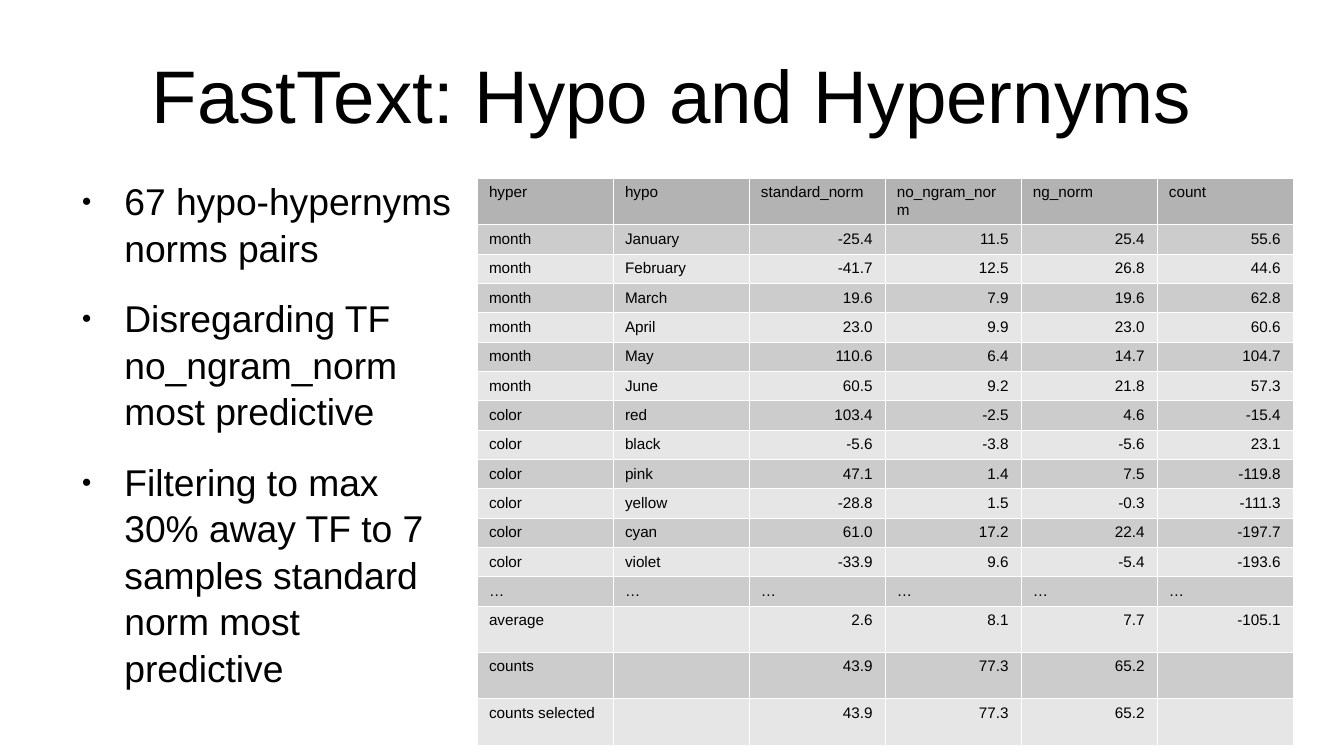
"""Build the slide on hypo- and hypernym norms: a title, a list and a table."""
from lxml.etree import SubElement
from pptx import Presentation
from pptx.dml.color import RGBColor
from pptx.enum.text import MSO_ANCHOR, MSO_AUTO_SIZE, PP_ALIGN
from pptx.oxml.ns import qn
from pptx.util import Inches, Pt

TITLE = "FastText: Hypo and Hypernyms"
POINTS = [
    "67 hypo-hypernyms norms pairs",
    "Disregarding TF no_ngram_norm most predictive",
    "Filtering to max 30% away TF to 7 samples standard norm most predictive",
]
ROWS = [
    ("hyper", "hypo", "standard_norm", "no_ngram_norm", "ng_norm", "count"),
    ("month", "January", "-25.4", "11.5", "25.4", "55.6"),
    ("month", "February", "-41.7", "12.5", "26.8", "44.6"),
    ("month", "March", "19.6", "7.9", "19.6", "62.8"),
    ("month", "April", "23.0", "9.9", "23.0", "60.6"),
    ("month", "May", "110.6", "6.4", "14.7", "104.7"),
    ("month", "June", "60.5", "9.2", "21.8", "57.3"),
    ("color", "red", "103.4", "-2.5", "4.6", "-15.4"),
    ("color", "black", "-5.6", "-3.8", "-5.6", "23.1"),
    ("color", "pink", "47.1", "1.4", "7.5", "-119.8"),
    ("color", "yellow", "-28.8", "1.5", "-0.3", "-111.3"),
    ("color", "cyan", "61.0", "17.2", "22.4", "-197.7"),
    ("color", "violet", "-33.9", "9.6", "-5.4", "-193.6"),
    ("…",) * 6,
    ("average", "", "2.6", "8.1", "7.7", "-105.1"),
    ("counts", "", "43.9", "77.3", "65.2", ""),
    ("counts selected", "", "43.9", "77.3", "65.2", ""),
]
COLORS = {"text": "000000", "head": "B3B3B3", "odd": "CCCCCC",
          "even": "E6E6E6", "line": "FFFFFF"}
FONT = "Arial"
TALL, LOW = 0.38, 0.24


def style(para, size):
    font = para.font
    font.name, font.size, font.bold = FONT, Pt(size), False
    font.color.rgb = RGBColor.from_string(COLORS["text"])


def place(holder, left, top, width, height, anchor):
    holder.left, holder.top = Inches(left), Inches(top)
    holder.width, holder.height = Inches(width), Inches(height)
    frame = holder.text_frame
    frame.margin_left = frame.margin_right = 0
    frame.margin_top = frame.margin_bottom = 0
    frame.word_wrap, frame.auto_size = True, MSO_AUTO_SIZE.NONE
    frame.vertical_anchor = anchor
    return frame


def bullet(para):
    props = para._p.get_or_add_pPr()
    props.set("marL", str(Inches(0.47)))
    props.set("indent", str(Inches(-0.35)))
    marks = []
    for tag, key, value in (("a:buSzPct", "val", "45000"),
                            ("a:buFont", "typeface", FONT),
                            ("a:buChar", "char", "●")):
        mark = SubElement(props, qn(tag))
        mark.set(key, value)
        marks.append(mark)
    return marks


def edge(cell):
    props = cell._tc.get_or_add_tcPr()
    for spot, side in enumerate(("L", "R", "T", "B")):
        line = SubElement(props, qn(f"a:ln{side}"))
        line.set("w", str(Pt(0.06)))
        fill = SubElement(line, qn("a:solidFill"))
        SubElement(fill, qn("a:srgbClr")).set("val", COLORS["line"])
        props.insert(spot, line)


def add_list(holder):
    frame = place(holder, 0.55, 1.45, 3.25, 4.25, MSO_ANCHOR.TOP)
    frame.text = "\n".join(POINTS)
    for para in frame.paragraphs:
        para.space_before, para.line_spacing = Pt(14.2), 1.04
        bullet(para)
        style(para, 22)


def add_grid(slide):
    high = [TALL if r == 0 or row[0].startswith(("average", "counts")) else LOW
            for r, row in enumerate(ROWS)]
    grid = slide.shapes.add_table(
        len(ROWS), len(ROWS[0]), Inches(3.91), Inches(1.46),
        Inches(6.69), Inches(sum(high))).table
    grid.first_row = grid.horz_banding = False
    for r, row in enumerate(ROWS):
        grid.rows[r].height = Inches(high[r])
        tone = "head" if r == 0 else "odd" if r % 2 else "even"
        for c, text in enumerate(row):
            cell = grid.cell(r, c)
            cell.text = text
            cell.fill.solid()
            cell.fill.fore_color.rgb = RGBColor.from_string(COLORS[tone])
            edge(cell)
            para = cell.text_frame.paragraphs[0]
            style(para, 9)
            if r and c > 1 and text != "…":
                para.alignment = PP_ALIGN.RIGHT


def main():
    deck = Presentation()
    deck.slide_width, deck.slide_height = Inches(11.02), Inches(6.2)
    slide = deck.slides.add_slide(deck.slide_layouts[1])
    title = place(slide.shapes.title, 0.55, 0.25, 9.92, 1.04, MSO_ANCHOR.MIDDLE)
    title.text = TITLE
    title.paragraphs[0].alignment = PP_ALIGN.CENTER
    style(title.paragraphs[0], 44)
    add_list(slide.placeholders[1])
    add_grid(slide)
    deck.save("out.pptx")


if __name__ == "__main__":
    main()
